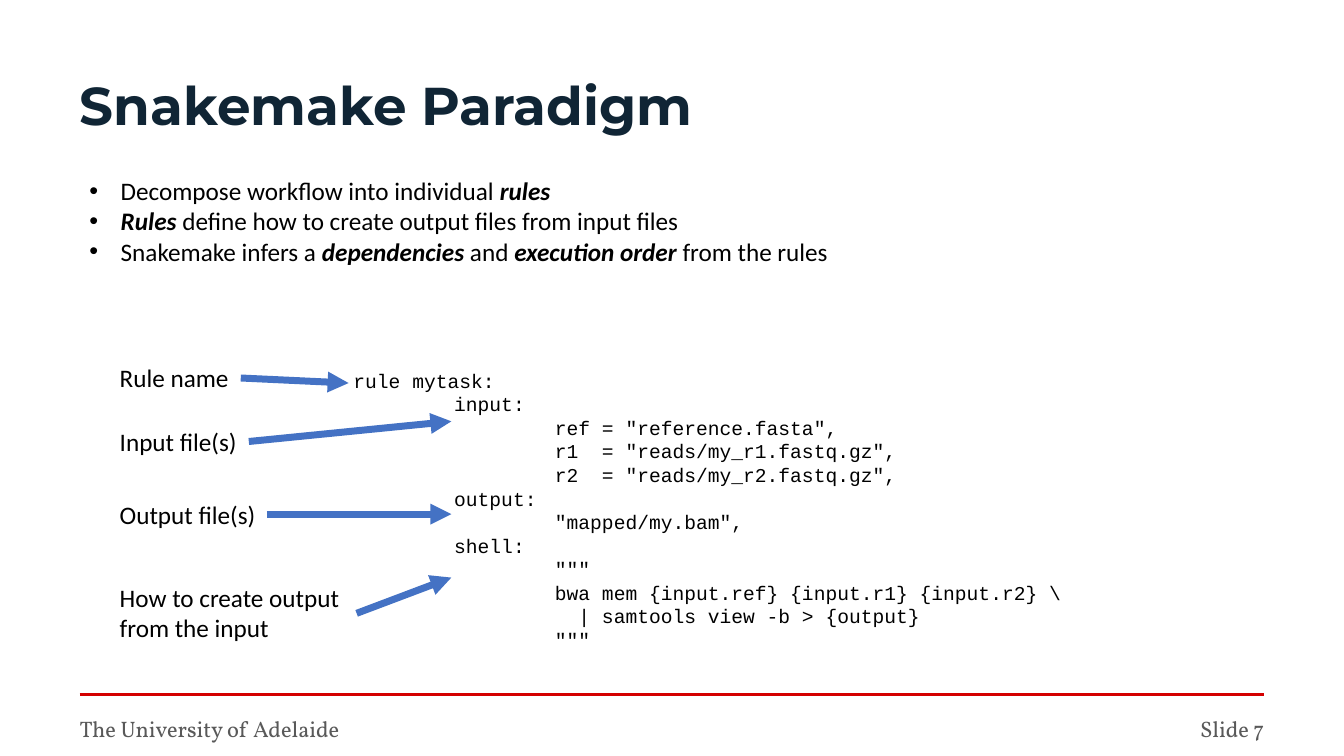
from dataclasses import dataclass

from lxml.etree import SubElement
from pptx import Presentation
from pptx.dml.color import RGBColor
from pptx.enum.shapes import MSO_CONNECTOR as Link
from pptx.enum.text import MSO_ANCHOR as Anchor, PP_ALIGN as Align
from pptx.oxml.ns import qn
from pptx.shapes.autoshape import Shape
from pptx.shapes.connector import Connector
from pptx.slide import Slide
from pptx.util import Pt

SCALE = 9144


@dataclass(frozen=True)
class Style:
    face: str
    size: int
    color: str = "000000"
    bold: bool = False
    pad: tuple[int, int] = (10, 5)
    align: Align = Align.LEFT
    space: float = 1.0
    dot: bool = False
    wrap: bool = True
    tabs: tuple[int, ...] = ()


@dataclass(frozen=True)
class Box:
    left: int
    top: int
    width: int
    height: int


@dataclass(frozen=True)
class Label:
    text: str
    box: Box
    tip: tuple[int, int]
    wrap: bool = True


TITLE = Style("Montserrat", 38, "102535", bold=True, pad=(0, 0), space=0.9)
FOOT = Style("Vollkorn", 16, "595959", pad=(0, 0))
PAGE = Style("Vollkorn", 16, "595959", pad=(0, 0), align=Align.RIGHT)
POINT = Style("Calibri", 18, dot=True)
CODE = Style("Courier New", 14, tabs=(100, 200))

POINTS = """Decompose workflow into individual *rules*
*Rules* define how to create output files from input files
Snakemake infers a *dependencies* and *execution order* from the rules"""

RULE = '''rule mytask:
\tinput:
\t\tref = "reference.fasta",
\t\tr1  = "reads/my_r1.fastq.gz",
\t\tr2  = "reads/my_r2.fastq.gz",
\toutput:
\t\t"mapped/my.bam",
\tshell:
\t\t"""
\t\tbwa mem {input.ref} {input.r1} {input.r2} \\
\t\t  | samtools view -b > {output}
\t\t"""'''

LABELS = [
    Label("Rule name", Box(109, 355, 130, 40), (346, 380), wrap=False),
    Label("Input file(s)", Box(109, 418, 138, 40), (448, 418)),
    Label("Output file(s)", Box(109, 490, 156, 40), (448, 510)),
    Label("How to create output from the input", Box(109, 573, 245, 71), (448, 573)),
]


def px(n: int) -> int:
    return n * SCALE


def rgb(code: str) -> RGBColor:
    return RGBColor.from_string(code)


def add_text(slide: Slide, text: str, box: Box, style: Style) -> Shape:
    shape = slide.shapes.add_textbox(
        px(box.left), px(box.top), px(box.width), px(box.height)
    )
    frame = shape.text_frame
    frame.word_wrap = style.wrap
    frame.vertical_anchor = Anchor.TOP
    side, edge = style.pad
    frame.margin_left = frame.margin_right = px(side)
    frame.margin_top = frame.margin_bottom = px(edge)
    for row, line in enumerate(text.split("\n")):
        para = frame.add_paragraph() if row else frame.paragraphs[0]
        para.alignment = style.align
        para.line_spacing = style.space
        props = para._p.get_or_add_pPr()
        if style.dot:
            props.set("marL", str(px(31)))
            props.set("indent", str(-px(31)))
            SubElement(props, qn("a:buFont"), typeface="Arial")
            SubElement(props, qn("a:buChar"), char="•")
        if style.tabs:
            stops = SubElement(props, qn("a:tabLst"))
            for stop in style.tabs:
                SubElement(stops, qn("a:tab"), pos=str(px(stop)), algn="l")
        font = para.font
        font.name = style.face
        font.size = Pt(style.size)
        font.bold = style.bold
        font.color.rgb = rgb(style.color)
        for part, words in enumerate(line.split("*")):
            if words:
                run = para.add_run()
                run.text = words
                if part % 2:
                    run.font.bold = run.font.italic = True
    return shape


def add_line(
    slide: Slide, start: tuple[int, int], end: tuple[int, int], color: str, width: float
) -> Connector:
    line = slide.shapes.add_connector(
        Link.STRAIGHT, px(start[0]), px(start[1]), px(end[0]), px(end[1])
    )
    line.line.color.rgb = rgb(color)
    line.line.width = Pt(width)
    SubElement(line._element.spPr, qn("a:effectLst"))
    return line


def add_label(slide: Slide, label: Label) -> None:
    box = label.box
    shape = add_text(slide, label.text, box, Style("Calibri", 18, wrap=label.wrap))
    start = (box.left + box.width, box.top + box.height // 2)
    arrow = add_line(slide, start, label.tip, "4472C4", 5)
    arrow.begin_connect(shape, 3)
    SubElement(arrow.line._get_or_add_ln(), qn("a:tailEnd"), type="triangle")


def main() -> None:
    deck = Presentation()
    deck.slide_width, deck.slide_height = px(1334), px(750)
    slide = deck.slides.add_slide(deck.slide_layouts[6])
    add_line(slide, (79, 689), (1255, 689), "D40000", 2.5)
    add_text(slide, "Snakemake Paradigm", Box(79, 79, 1176, 118), TITLE)
    add_text(slide, "The University of Adelaide", Box(79, 709, 525, 20), FOOT)
    add_text(slide, "Slide 7", Box(992, 709, 263, 20), PAGE)
    add_text(slide, POINTS, Box(79, 169, 1176, 101), POINT)
    add_text(slide, RULE, Box(341, 361, 755, 293), CODE)
    for label in LABELS:
        add_label(slide, label)
    deck.save("out.pptx")


if __name__ == "__main__":
    main()
